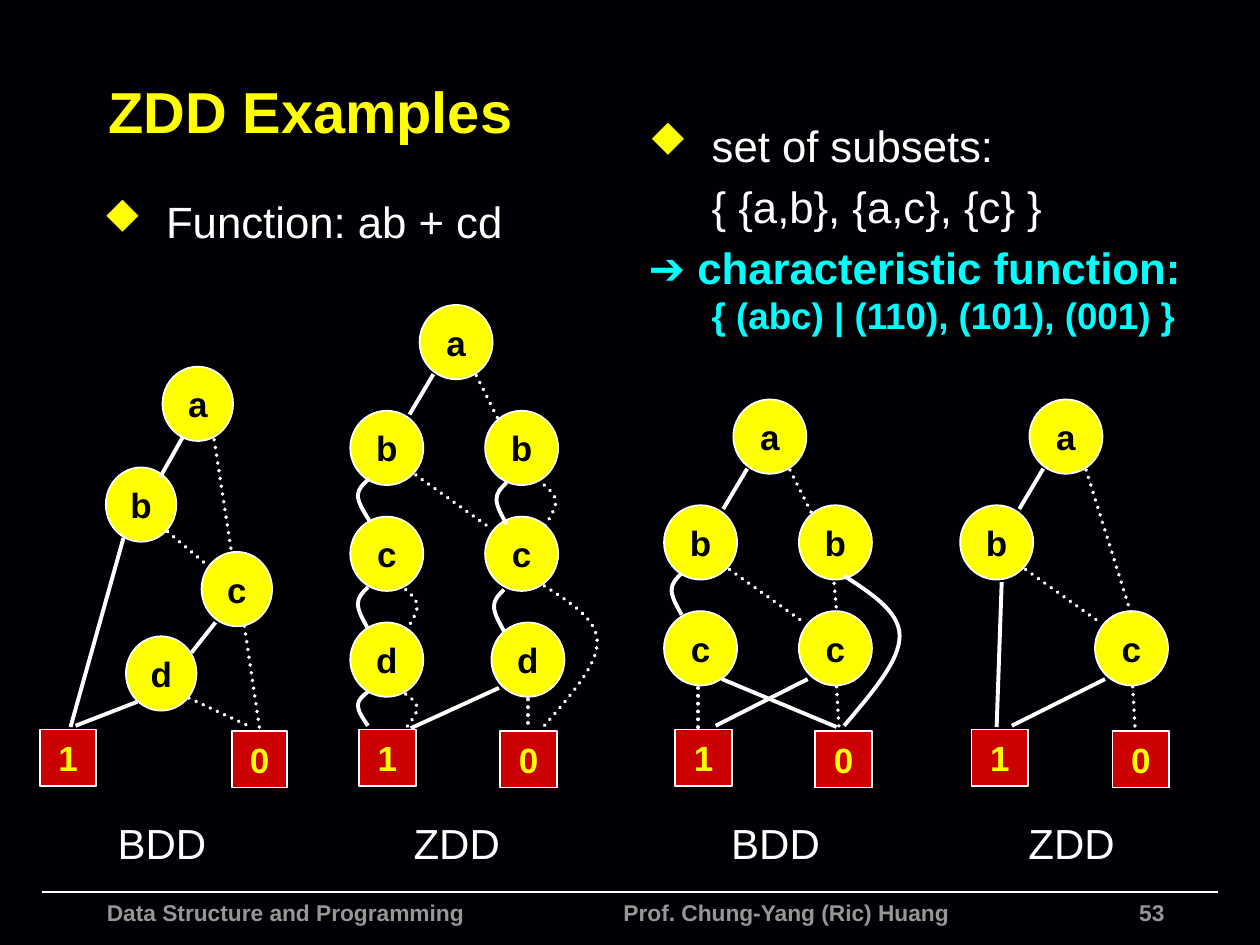
from lxml.etree import SubElement
from pptx import Presentation
from pptx.dml.color import RGBColor
from pptx.enum.dml import MSO_LINE
from pptx.enum.shapes import MSO_CONNECTOR, MSO_SHAPE
from pptx.enum.text import MSO_ANCHOR, PP_ALIGN
from pptx.oxml.ns import qn
from pptx.util import Inches, Pt

BLACK = RGBColor(0x00, 0x00, 0x00)
NIGHT = RGBColor(0x01, 0x00, 0x04)
WHITE = RGBColor(0xFF, 0xFF, 0xFF)
YELLOW = RGBColor(0xFF, 0xFF, 0x00)
CYAN = RGBColor(0x00, 0xFF, 0xFF)
RED = RGBColor(0xCC, 0x00, 0x00)
GRAY = RGBColor(0x96, 0x96, 0x96)


def write(frame, text, size=25, color=WHITE, bold=False, align=None,
          first=True, hang=None, bullet=None, lead=False, tab=None):
    para = frame.paragraphs[0] if first else frame.add_paragraph()
    if align is not None:
        para.alignment = align
    props = para._p.get_or_add_pPr()
    if hang is not None:
        props.set("marL", str(Inches(0.5)))
        props.set("indent", str(Inches(hang)))
    if lead:
        before = SubElement(props, qn("a:spcBef"))
        SubElement(before, qn("a:spcPct"), val="20000")
    if bullet:
        tint = SubElement(props, qn("a:buClr"))
        SubElement(tint, qn("a:srgbClr"), val=str(YELLOW))
        SubElement(props, qn("a:buSzPct"), val="90000")
        SubElement(props, qn("a:buFont"), typeface="Wingdings", charset="2")
        SubElement(props, qn("a:buChar"), char=bullet)
    if tab:
        stops = SubElement(props, qn("a:tabLst"))
        SubElement(stops, qn("a:tab"), pos=str(Inches(tab)), algn="l")
    parts = text if isinstance(text, list) else [(text, size)]
    for words, points in parts:
        run = para.add_run()
        run.text = words
        run.font.name = "Arial"
        run.font.size = Pt(points)
        run.font.bold = bold
        run.font.color.rgb = color


class Board:
    def __init__(self, slide):
        self.slide = slide
        self.shapes = slide.shapes

    def pad(self, frame, side, anchor, wrap):
        frame.margin_left = frame.margin_right = Inches(side)
        frame.margin_top = frame.margin_bottom = Inches(0.05)
        frame.vertical_anchor = anchor
        frame.word_wrap = wrap

    def box(self, x, y, w, h, side=0.1, anchor=MSO_ANCHOR.TOP, wrap=True):
        frame = self.shapes.add_textbox(
            Inches(x), Inches(y), Inches(w), Inches(h)).text_frame
        self.pad(frame, side, anchor, wrap)
        return frame

    def mark(self, kind, text, x, y, w, h, fill, color):
        shape = self.shapes.add_shape(
            kind, Inches(x), Inches(y), Inches(w), Inches(h))
        shape.shadow.inherit = False
        shape.fill.solid()
        shape.fill.fore_color.rgb = fill
        self.stroke(shape.line, 1)
        self.pad(shape.text_frame, 0.05, MSO_ANCHOR.MIDDLE, True)
        write(shape.text_frame, text, size=20, color=color, bold=True,
              align=PP_ALIGN.CENTER)

    def node(self, text, x, y, w=0.58):
        self.mark(MSO_SHAPE.OVAL, text, x, y, w, 0.59, YELLOW, BLACK)

    def leaf(self, text, x, y, w=0.45):
        self.mark(MSO_SHAPE.RECTANGLE, text, x, y, w, 0.45, RED, YELLOW)

    def stroke(self, line, width, dots=False):
        line.color.rgb = WHITE
        line.width = Pt(width)
        if dots:
            line.dash_style = MSO_LINE.ROUND_DOT

    def soften(self, shape, dots):
        if dots:
            shape._element.spPr.find(qn("a:ln")).set("cap", "rnd")

    def edge(self, x1, y1, x2, y2, dots=False, width=2.25):
        link = self.shapes.add_connector(
            MSO_CONNECTOR.STRAIGHT, Inches(x1), Inches(y1), Inches(x2), Inches(y2))
        self.stroke(link.line, width, dots)
        self.soften(link, dots)
        SubElement(link._element.spPr, qn("a:effectLst"))

    def curve(self, x, y, high, bulge, dots=False):
        knots = [(0.5, 0.12), (1, 0.24), (1, 0.4), (1, 0.57), (0.5, 0.78), (0, 1)]
        pen = self.shapes.build_freeform(Inches(x), Inches(y))
        pen.add_line_segments(
            [(Inches(x + bulge * a), Inches(y + high * b)) for a, b in knots], close=False)
        shape = pen.convert_to_shape()
        shape.shadow.inherit = False
        shape.fill.background()
        self.stroke(shape.line, 2.25, dots)
        self.soften(shape, dots)
        lines = list(shape._element.iter(qn("a:lnTo")))
        trace = lines[0].getparent()
        for start in (0, 3):
            bend = SubElement(trace, qn("a:cubicBezTo"))
            for line in lines[start:start + 3]:
                bend.append(line[0])
                trace.remove(line)

    def graph(self, nodes, leaves, solid, dotted, bends=(), dots=(), wide=0.58, base=0.45):
        for node in nodes:
            self.node(*node, w=wide)
        for text, x, y in zip("10", leaves, (5.79, 5.8)):
            self.leaf(text, x, y, base)
        for ends in solid:
            self.edge(*ends)
        for ends in dotted:
            self.edge(*ends, dots=True)
        for bend in bends:
            self.curve(*bend)
        for bend in dots:
            self.curve(*bend, dots=True)


def grid(left, top, rows):
    spots = [("a", left + 0.55, top)]
    for level, (text, places) in enumerate(rows, 1):
        spots += [(text, left + x, top + 0.84 * level) for x in places]
    return spots


def shift(left, top, *ends):
    return [(left + a, top + b, left + c, top + d) for a, b, c, d in ends]


deck = Presentation()
deck.slide_width, deck.slide_height = Inches(10), Inches(7.5)
slide = deck.slides.add_slide(deck.slide_layouts[6])
slide.background.fill.solid()
slide.background.fill.fore_color.rgb = NIGHT
board = Board(slide)

board.edge(0.33, 7.08, 9.67, 7.08, width=1)
write(board.box(6.17, 7.08, 3.17, 0.18), "53", size=13, color=GRAY, bold=True,
      align=PP_ALIGN.RIGHT)
write(board.box(0.75, 7.08, 7.24, 0.42),
      "Data Structure and Programming\tProf. Chung-Yang (Ric) Huang",
      size=13, color=GRAY, bold=True, tab=4.1)

title = board.box(0.76, 0.37, 8.84, 1.01, anchor=MSO_ANCHOR.MIDDLE)
write(title, "ZDD Examples", size=33, color=YELLOW, bold=True)
write(board.box(0.72, 1.5, 4.17, 5.17), "Function: ab + cd",
      hang=-0.5, bullet="u", lead=True)
sets = board.box(5.05, 0.89, 4.52, 5.17)
write(sets, "set of subsets:", hang=-0.5, bullet="u", lead=True)
write(sets, "{ {a,b}, {a,c}, {c} }", first=False, hang=0, lead=True)
write(sets, [("➔ characteristic function: ", 25), ("{ (abc) | (110), (101), (001) }", 21)],
      color=CYAN, bold=True, first=False, hang=-0.5, lead=True)

LEFT = (0.66, 0.55, 0.47, 0.87)
RIGHT = (1.0, 0.56, 1.17, 0.9)
CROSS = (0.52, 1.35, 1.11, 1.77)
PAIR = (0, 1.07)

board.graph(
    [("a", 1.29, 2.91), ("b", 0.84, 3.71), ("c", 1.6, 4.38), ("d", 1, 5.05)],
    (0.32, 1.84),
    [(0.98, 4.27, 0.56, 5.77), (1.45, 3.47, 1.27, 3.79),
     (1.71, 4.94, 1.52, 5.18), (1.09, 5.57, 0.6, 5.76)],
    [(1.94, 4.97, 2.06, 5.78), (1.5, 5.54, 1.99, 5.77),
     (1.7, 3.49, 1.84, 4.4), (1.33, 4.22, 1.65, 4.49)],
    wide=0.56, base=0.44)
board.graph(
    grid(2.78, 2.42, [("b", PAIR), ("c", PAIR), ("d", (0, 1.12))]),
    (2.85, 3.97),
    shift(2.78, 2.42, LEFT) + [(3.96, 5.46, 3.26, 5.78)],
    shift(2.78, 2.42, RIGHT, CROSS) + [(4.19, 5.55, 4.19, 5.77)],
    [(2.93, 3.8, 0.33, -0.09), (2.92, 4.66, 0.33, -0.08), (2.92, 5.49, 0.27, -0.08),
     (4.02, 3.83, 0.33, -0.08), (4, 4.68, 0.33, -0.08)],
    [(3.22, 4.68, 0.33, 0.09), (3.22, 5.51, 0.27, 0.09),
     (4.32, 3.85, 0.33, 0.09), (4.32, 4.65, 1.11, 0.42)])
board.graph(
    grid(5.27, 3.17, [("b", PAIR), ("c", PAIR)]),
    (5.36, 6.47),
    shift(5.27, 3.17, LEFT) + [(6.41, 5.39, 5.68, 5.76), (5.73, 5.39, 6.64, 5.77)],
    shift(5.27, 3.17, RIGHT, CROSS) + [(5.54, 5.46, 5.54, 5.81),
                                       (6.62, 4.63, 6.64, 4.85), (6.64, 5.45, 6.66, 5.81)],
    [(5.41, 4.55, 0.33, -0.08), (6.7, 4.57, 1.19, 0.44)])
board.graph(
    grid(7.62, 3.17, [("b", (0,)), ("c", (1.07,))]),
    (7.71, 8.83),
    shift(7.62, 3.17, LEFT) + [(8.77, 5.39, 8.03, 5.76), (7.95, 4.62, 7.91, 5.77)],
    shift(7.62, 3.17, CROSS) + [(8.62, 3.73, 8.98, 4.88), (8.99, 5.45, 9.01, 5.81)])

for text, x in [("BDD", 0.88), ("ZDD", 3.22), ("BDD", 5.75), ("ZDD", 8.1)]:
    write(board.box(x, 6.44, 0.81, 0.5, side=0.05, wrap=False), text,
          size=24, align=PP_ALIGN.CENTER)

deck.save("out.pptx")
